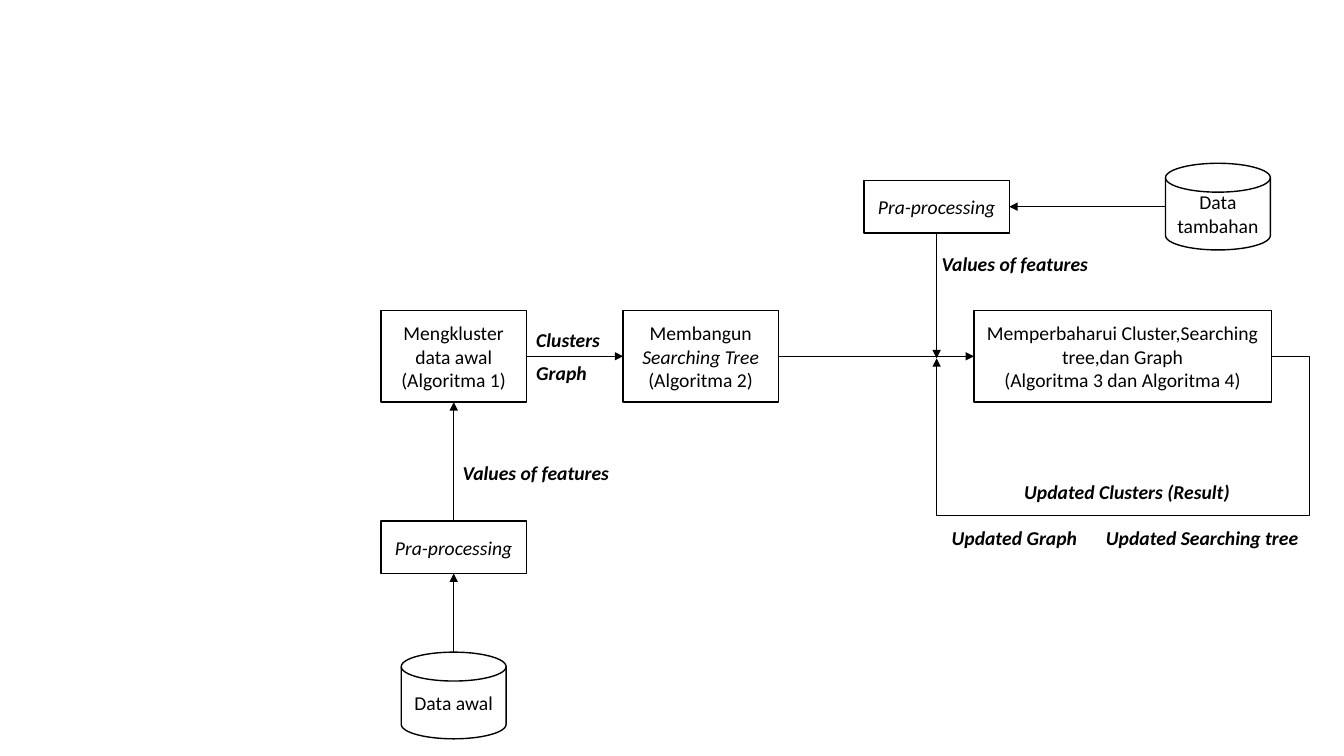
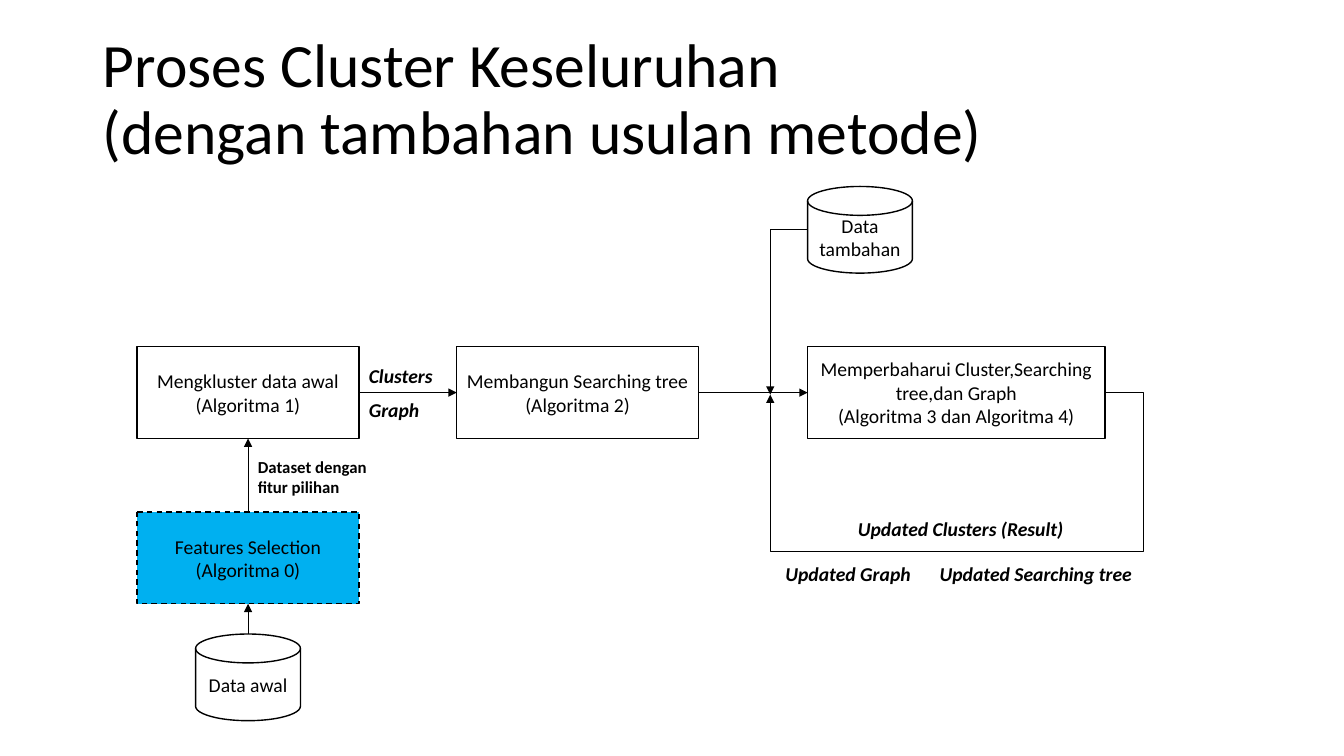
"""Builds two flow charts of a clustering process."""
from lxml import etree
from pptx import Presentation
from pptx import util as u
from pptx.dml.color import RGBColor
from pptx.enum import dml, shapes, text
from pptx.oxml.ns import qn

BLACK = RGBColor(0x00, 0x00, 0x00)
WHITE = RGBColor(0xFF, 0xFF, 0xFF)
BLUE = RGBColor(0x00, 0xB0, 0xF0)
FONT = "Calibri"
TOP, LEFT, BOTTOM, RIGHT = range(4)
PROCESS = shapes.MSO_SHAPE.FLOWCHART_PROCESS
DISK = shapes.MSO_SHAPE.FLOWCHART_MAGNETIC_DISK
DISK_SIZE = (1.04, 0.86)
SMALL_SIZE = (1.44, 0.52)
STEP_HEIGHT = 0.91
MERGE_GAP, MERGE_DROP = 0.37, 0.02
LOOP_OUT, LOOP_DOWN = 0.38, 1.57

UPDATE_TEXT = ["Memperbaharui Cluster,Searching tree,dan Graph\n(Algoritma 3 dan Algoritma 4)"]
PRE_TEXT = [("Pra-processing", "i")]
STEP_LABELS = [("Clusters", 0, -0.33, 0.84), ("Graph", 0, 0, 0.71)]
LOOP_LABELS = [
    ("Updated Clusters (Result)", 0.4, 1.18, 2.26),
    ("Updated Graph", -0.32, 1.63, 1.45),
    ("Updated Searching tree", 1.21, 1.63, 2.12),
]

SLIDES = [
    {
        "title": None,
        "boxes": {
            "initial": (DISK, 3.98, 6.47, *DISK_SIZE, ["Data awal"]),
            "cluster": (PROCESS, 3.78, 3.08, 1.44, STEP_HEIGHT,
                        ["Mengkluster data awal\n(Algoritma 1)"]),
            "tree": (PROCESS, 6.18, 3.08, 1.54, STEP_HEIGHT,
                     ["Membangun ", ("Searching Tree\n", "i"), "(Algoritma 2)"]),
            "update": (PROCESS, 9.66, 3.08, 2.95, STEP_HEIGHT, UPDATE_TEXT),
            "extra": (DISK, 11.56, 1.62, *DISK_SIZE, ["Data tambahan"]),
            "prepare": (PROCESS, 3.78, 5.17, *SMALL_SIZE, PRE_TEXT),
            "prepare extra": (PROCESS, 8.57, 1.79, *SMALL_SIZE, PRE_TEXT),
        },
        "arrows": [
            (("initial", TOP), ("prepare", BOTTOM)),
            (("prepare", TOP), ("cluster", BOTTOM)),
            (("extra", LEFT), ("prepare extra", RIGHT)),
            (("prepare extra", BOTTOM), None),
        ],
        "labels": [
            ([("Values of features", "bi")], 4.49, 4.52, 1.66, 0.34, 14),
            ([("Values of features", "bi")], 9.24, 2.45, 1.66, 0.34, 14),
        ],
    },
    {
        "title": "Proses Cluster Keseluruhan\n(dengan tambahan usulan metode)",
        "boxes": {
            "initial": (DISK, 1.94, 6.29, *DISK_SIZE, ["Data awal"]),
            "cluster": (PROCESS, 1.36, 3.44, 2.2, STEP_HEIGHT,
                        ["Mengkluster data awal\n(Algoritma 1)"]),
            "tree": (PROCESS, 4.53, 3.44, 2.4, STEP_HEIGHT,
                     ["Membangun Searching tree\n(Algoritma 2)"]),
            "update": (PROCESS, 8.01, 3.44, 2.95, STEP_HEIGHT, UPDATE_TEXT),
            "extra": (DISK, 8.01, 1.85, *DISK_SIZE, ["Data tambahan"]),
            "select": (PROCESS, 1.36, 5.08, 2.2, STEP_HEIGHT,
                       ["Features Selection\n(Algoritma 0)"]),
        },
        "highlight": "select",
        "arrows": [
            (("initial", TOP), ("select", BOTTOM)),
            (("select", TOP), ("cluster", BOTTOM)),
            (("extra", LEFT), None),
        ],
        "labels": [
            ([("Dataset dengan\nfitur pilihan", "b")], 2.46, 4.48, 1.33, 0.5, 12),
        ],
    },
]


def write(para, parts, size):
    """Add runs, each a string or a (string, style) pair, breaking at newlines."""
    for part in parts:
        content, style = (part, "") if isinstance(part, str) else part
        for number, line in enumerate(content.split("\n")):
            if number:
                para.add_line_break()
            if line:
                span = para.add_run()
                span.text = line
                span.font.name, span.font.size = FONT, u.Pt(size)
                span.font.bold, span.font.italic = "b" in style, "i" in style
                span.font.color.rgb = BLACK


def add_title(page, content):
    """Fill and place the title placeholder."""
    title = page.shapes.title
    title.left, title.top = u.Inches(0.92), u.Inches(0.28)
    title.width, title.height = u.Inches(11.5), u.Inches(1.45)
    frame = title.text_frame
    frame.auto_size = text.MSO_AUTO_SIZE.NONE
    frame.vertical_anchor = text.MSO_ANCHOR.MIDDLE
    para = frame.paragraphs[0]
    para.alignment, para.line_spacing = text.PP_ALIGN.LEFT, 0.9
    write(para, [content], 44)


def add_box(page, kind, left, top, width, height, parts, highlighted):
    """Add one step or data store."""
    box = page.shapes.add_shape(kind, *map(u.Inches, (left, top, width, height)))
    box.shadow.inherit = False
    box.fill.solid()
    box.fill.fore_color.rgb = BLUE if highlighted else WHITE
    box.line.color.rgb, box.line.width = BLACK, u.Pt(1)
    if highlighted:
        box.line.dash_style = dml.MSO_LINE.DASH
    frame = box.text_frame
    frame.word_wrap = True
    frame.vertical_anchor = text.MSO_ANCHOR.MIDDLE
    frame.paragraphs[0].alignment = text.PP_ALIGN.CENTER
    write(frame.paragraphs[0], parts, 14)
    return box


def add_label(page, parts, left, top, width, height, size):
    """Add an unwrapped caption."""
    label = page.shapes.add_textbox(*map(u.Inches, (left, top, width, height)))
    label.text_frame.word_wrap = False
    label.text_frame.auto_size = text.MSO_AUTO_SIZE.SHAPE_TO_FIT_TEXT
    write(label.text_frame.paragraphs[0], parts, size)


def side_point(box, side):
    """Return the middle of a side of a box."""
    across = {LEFT: 0, RIGHT: box.width}.get(side, box.width // 2)
    down = {TOP: 0, BOTTOM: box.height}.get(side, box.height // 2)
    return box.left + across, box.top + down


def add_arrow(page, start, end, preset="line", adjusts=()):
    """Add an arrow between two points, bent if a bent preset is given."""
    kind = shapes.MSO_CONNECTOR.STRAIGHT if preset == "line" else shapes.MSO_CONNECTOR.ELBOW
    arrow = page.shapes.add_connector(kind, *start, *end)
    arrow.line.color.rgb, arrow.line.width = BLACK, u.Pt(0.5)
    properties = arrow._element.spPr
    etree.SubElement(properties.find(qn("a:ln")), qn("a:tailEnd"), type="triangle")
    etree.SubElement(properties, qn("a:effectLst"))
    geometry = properties.find(qn("a:prstGeom"))
    geometry.set("prst", preset)
    for number, value in enumerate(adjusts, 1):
        etree.SubElement(geometry.find(qn("a:avLst")), qn("a:gd"),
                         name=f"adj{number}", fmla=f"val {round(value * 100000)}")
    return arrow


def join(page, boxes, source, target, merge):
    """Draw an arrow from a box side to another, or to the merge point."""
    start = side_point(boxes[source[0]], source[1])
    end = side_point(boxes[target[0]], target[1]) if target else merge
    aligned = any(abs(a - b) < u.Inches(0.02) for a, b in zip(start, end))
    arrow = add_arrow(page, start, end, "line" if aligned else "bentConnector2")
    ends = ((source, arrow.begin_connect), (target, arrow.end_connect))
    for place, connect in ends:
        if place and boxes[place[0]].auto_shape_type == PROCESS:
            connect(boxes[place[0]], place[1])


def add_loop(page, update, merge):
    """Lead the result from the update step back to the merge point."""
    start = side_point(update, RIGHT)
    width, height = start[0] - merge[0], merge[1] - start[1]
    adjusts = (-u.Inches(LOOP_OUT) / width, u.Inches(LOOP_DOWN) / height, 1)
    loop = add_arrow(page, start, merge, "bentConnector5", adjusts)
    loop.begin_connect(update, RIGHT)


def add_flow(page, content):
    """Draw the boxes, arrows and captions of one slide."""
    boxes = {name: add_box(page, *box, name == content.get("highlight"))
             for name, box in content["boxes"].items()}
    entry = side_point(boxes["update"], LEFT)
    merge = entry[0] - u.Inches(MERGE_GAP), entry[1] + u.Inches(MERGE_DROP)
    steps = [(("cluster", RIGHT), ("tree", LEFT)), (("tree", RIGHT), ("update", LEFT))]
    for source, target in steps + content["arrows"]:
        join(page, boxes, source, target, merge)
    add_loop(page, boxes["update"], merge)

    exit_point = side_point(boxes["cluster"], RIGHT)
    for origin, labels in ((exit_point, STEP_LABELS), (entry, LOOP_LABELS)):
        x, y = (u.Emu(value).inches for value in origin)
        for caption, right, down, width in labels:
            add_label(page, [(caption, "bi")], x + right, y + down, width, 0.34, 14)
    for label in content["labels"]:
        add_label(page, *label)


def main():
    """Build and save the deck."""
    deck = Presentation()
    deck.slide_width, deck.slide_height = u.Inches(13.33), u.Inches(7.5)
    for content in SLIDES:
        page = deck.slides.add_slide(deck.slide_layouts[5 if content["title"] else 6])
        if content["title"]:
            add_title(page, content["title"])
        add_flow(page, content)
    deck.save("out.pptx")


if __name__ == "__main__":
    main()
